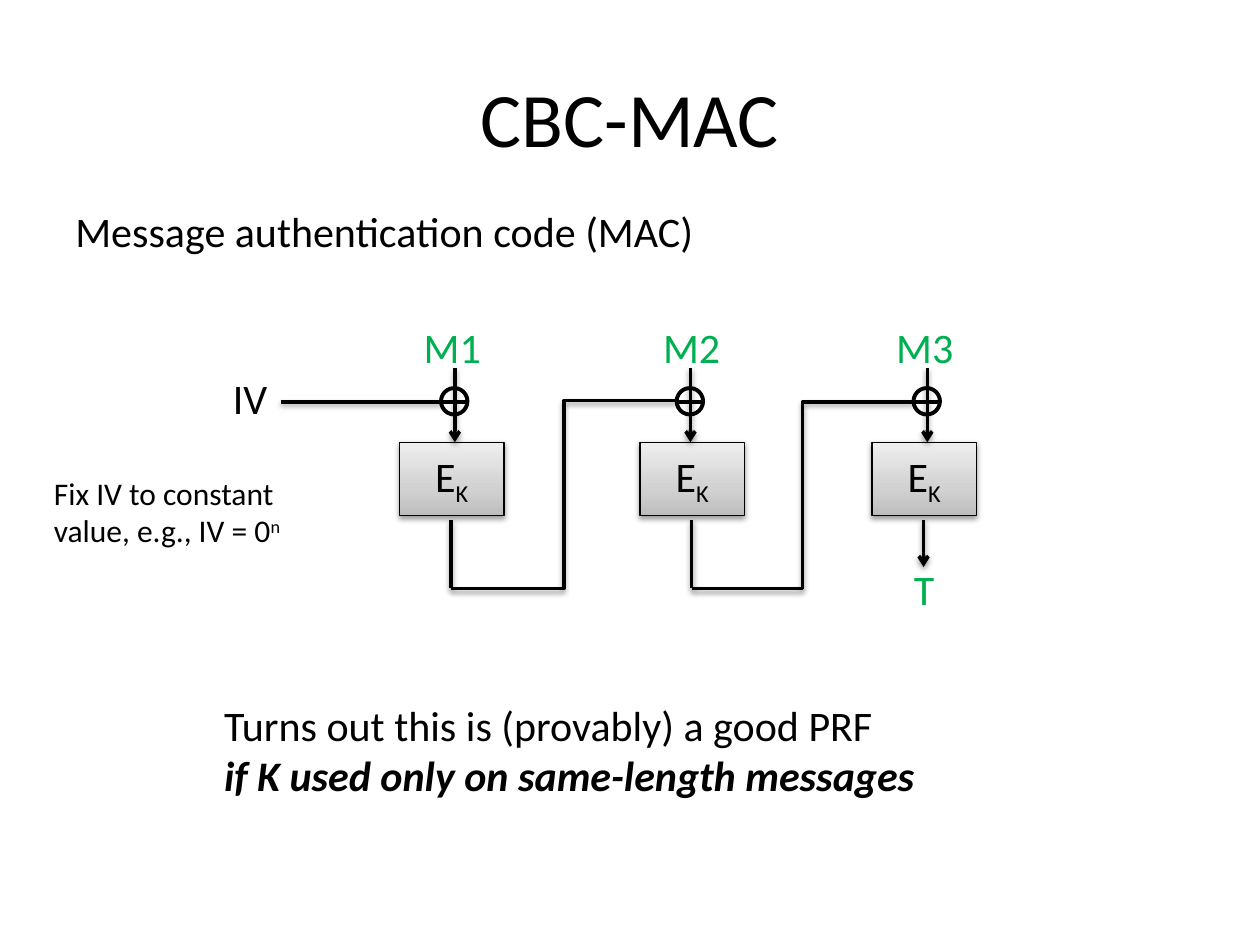
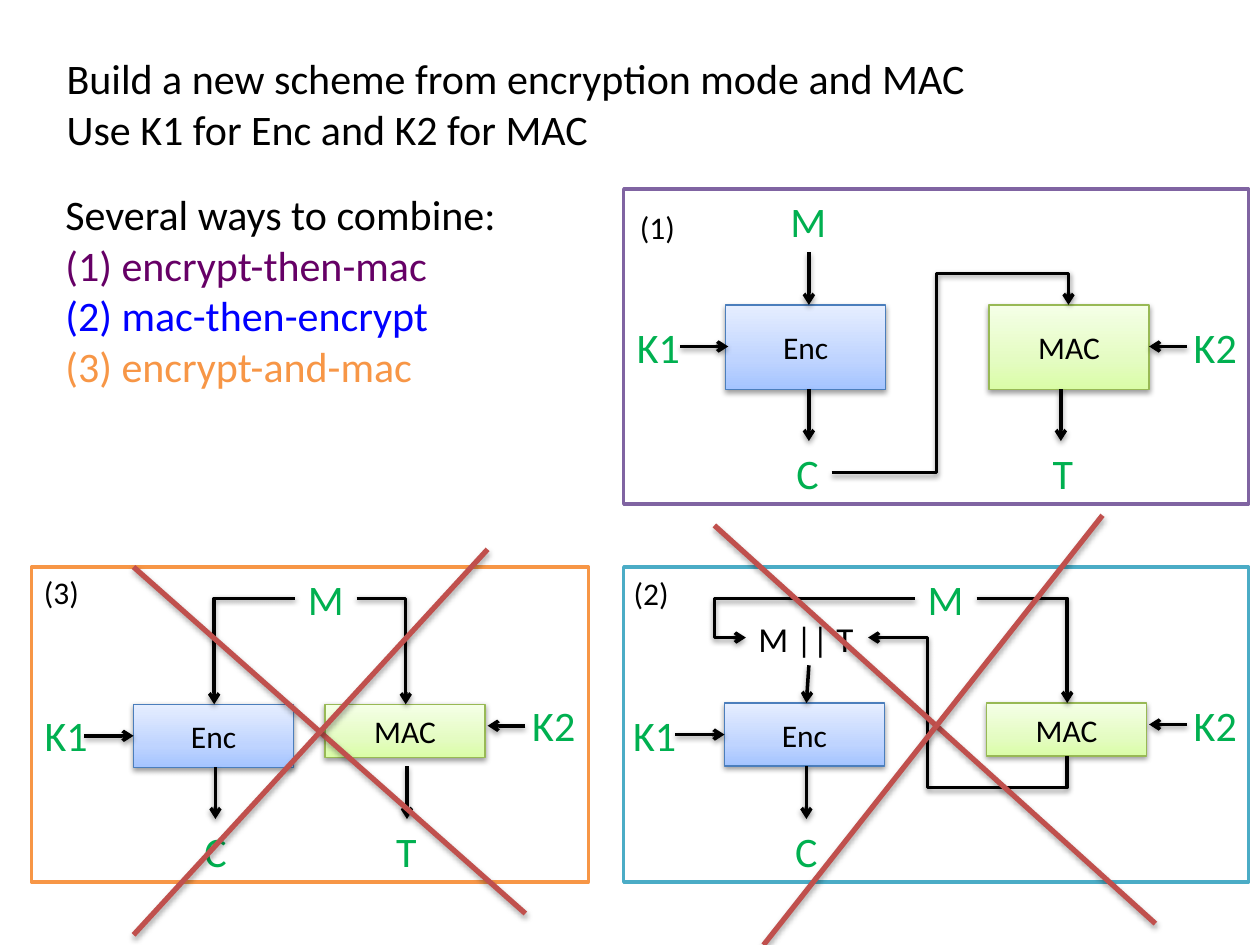
from lxml.etree import SubElement
from pptx import Presentation
from pptx.dml.color import RGBColor
from pptx.enum.shapes import MSO_CONNECTOR as LINK, MSO_SHAPE as SHAPE
from pptx.enum.text import MSO_ANCHOR as ANCHOR, MSO_AUTO_SIZE as AUTO, PP_ALIGN as ALIGN
from pptx.oxml.ns import qn
from pptx.util import Inches, Pt

FONT = "Calibri"
C = {"ink": "000000", "green": "00B050", "white": "FFFFFF", "cross": "C0504D",
     "purple": "8064A2", "teal": "4BACC6", "orange": "F79646",
     "plum": "660066", "blue": "0000FF"}
GRADS = {
    "gray": (("BDBDBD", "D1D1D1", "EEEEEE"), "000000"),
    "blue": (("A4C4FF", "BFD4FF", "E6EEFF"), "4B7EBC"),
    "lime": (("DAFDA7", "E4FCC2", "F5FFE7"), "98B955"),
}
STOPS = (0, 35000, 100000)
LETTER_W = {"M": 0.49, "C": 0.38, "T": 0.37, "K1": 0.55, "K2": 0.55,
            "M1": 0.66, "M2": 0.66, "M3": 0.66}
BOX_W = 1.27

STAGES = [("M1", 3.17, 3.61, 3.26), ("M2", 5.08, 5.48, 5.16), ("M3", 6.92, 7.36, 7.01)]
CHAIN_ELBOWS = [(3.58, 4.67, 5.37, 3.18), (5.49, 4.67, 7.25, 3.19)]
CHAIN_STEMS = [(3.58, 4.67, False), (5.49, 4.67, False), (7.33, 4.5, True)]
CHAIN_NOTES = [
    ((0.5, 1.58, 5.17, 0.5), 24, [[("Message authentication code (MAC)", {})]]),
    ((1.75, 2.91, 0.48, 0.5), 24, [[("IV", {})]]),
    ((1.68, 5.5, 5.82, 0.91), 24, [
        [("Turns out this is (provably) a good PRF", {})],
        [("if K used only on same-length messages", {"bold": True, "italic": True})]]),
    ((0.33, 3.71, 2.03, 0.71), 18, [
        [("Fix IV to constant", {})],
        [("value, e.g., IV = 0", {}), ("n", {"base": 30})]]),
]

SCHEME_NOTES = [
    ((0.43, 0.37, 7.41, 0.91), [
        [("Build a new scheme from encryption mode and MAC", {})],
        [("Use K1 for Enc and K2 for MAC", {})]]),
    ((0.42, 1.45, 3.68, 1.72), [
        [("Several ways to combine:", {})],
        [("(1) encrypt-then-mac", {"color": "plum"})],
        [("(2) mac-then-encrypt", {"color": "blue"})],
        [("(3) encrypt-and-mac", {"color": "orange"})]]),
]
SCHEMES = [
    {"tag": ("(1)", 4.98, 1.6), "frame": (4.95, 1.5, 4.96), "color": "purple",
     "enc": (5.76, 2.42, 0.67), "mac": (7.85, 2.42, 0.67),
     "letters": [("M", 6.17, 1.5), ("K1", 4.95, 2.5), ("K2", 9.37, 2.5),
                 ("C", 6.22, 3.5), ("T", 8.25, 3.5)],
     "arrows": [(5.4, 2.75, 5.78, 2.75), (9.42, 2.75, 9.12, 2.75),
                (6.42, 3.09, 6.42, 3.5), (6.42, 2, 6.42, 2.42),
                (8.42, 3.09, 8.42, 3.5)],
     "elbows": [((6.6, 3.75, 8.48, 2.42), 4, 0, (0.443, 1.188))],
     "cross": []},
    {"tag": ("(2)", 4.93, 4.51), "frame": (4.95, 4.5, 4.96), "color": "teal",
     "enc": (5.75, 5.58, 0.5), "mac": (7.83, 5.58, 0.42),
     "letters": [("M", 7.26, 4.5), ("K1", 4.92, 5.58), ("K2", 9.37, 5.5),
                 ("C", 6.21, 6.5)],
     "arrows": [(5.36, 5.83, 5.75, 5.83), (9.42, 5.75, 9.12, 5.75),
                (6.4, 6.08, 6.4, 6.5), (6.42, 5.28, 6.4, 5.58)],
     "elbows": [((7.75, 4.75, 8.47, 5.58), 2, 0, ()),
                ((8.15, 4.74, 7.21, 6.32), 4, 90, (-0.267, 0.701)),
                ((5.92, 5.06, 7.26, 4.75), 3, 180, (1.186,))],
     "cross": [(5.67, 4.17, 9.17, 7.33), (8.75, 4.09, 6.06, 7.5)]},
    {"tag": ("(3)", 0.25, 4.5), "frame": (0.25, 4.5, 4.42), "color": "orange",
     "enc": (1.06, 5.59, 0.5), "mac": (2.58, 5.59, 0.42),
     "letters": [("M", 2.34, 4.5), ("K1", 0.25, 5.58), ("K2", 4.12, 5.5),
                 ("C", 1.52, 6.5), ("T", 3.04, 6.5)],
     "arrows": [(0.67, 5.84, 1.06, 5.84), (4.17, 5.76, 3.87, 5.76),
                (1.71, 6.09, 1.71, 6.5), (3.23, 6.08, 3.23, 6.5)],
     "elbows": [((2.83, 4.75, 3.22, 5.59), 2, 0, ()),
                ((1.7, 5.59, 2.34, 4.75), 2, 180, ())],
     "cross": [(1.06, 4.5, 4.17, 7.25), (3.87, 4.36, 1.06, 7.42)]},
]


def rgb(name):
    return RGBColor.from_string(C.get(name, name))


def inches(values):
    return [Inches(v) for v in values]


def set_effect(sp, shadow=True, alpha=38, dist=20000):
    spPr = sp._element.spPr
    for old in spPr.findall(qn("a:effectLst")):
        spPr.remove(old)
    effects = SubElement(spPr, qn("a:effectLst"))
    if shadow:
        outer = SubElement(effects, qn("a:outerShdw"), blurRad="40000", dist=str(dist),
                           dir="5400000", rotWithShape="0")
        color = SubElement(outer, qn("a:srgbClr"), val=C["ink"])
        SubElement(color, qn("a:alpha"), val=str(alpha * 1000))


def write(tf, paras, size, color="ink", align=ALIGN.LEFT):
    for i, runs in enumerate(paras):
        p = tf.paragraphs[0] if i == 0 else tf.add_paragraph()
        p.alignment = align
        p.font.name, p.font.size = FONT, Pt(size)
        for text, style in runs:
            r = p.add_run()
            r.text = text
            r.font.color.rgb = rgb(style.get("color", color))
            r.font.bold, r.font.italic = style.get("bold"), style.get("italic")
            if "base" in style:
                r._r.get_or_add_rPr().set("baseline", str(style["base"] * 1000))


def label(sl, box, paras, size, color="ink", align=ALIGN.LEFT):
    tf = sl.shapes.add_textbox(*inches(box)).text_frame
    tf.word_wrap = False
    tf.auto_size = AUTO.SHAPE_TO_FIT_TEXT
    write(tf, paras, size, color, align)
    return tf


def letter(sl, text, x, y):
    label(sl, (x, y, LETTER_W[text], 0.5), [[(text, {})]], 24, "green", ALIGN.CENTER)


def outline(sl, kind, box, color, width, fill=None):
    sp = sl.shapes.add_shape(kind, *inches(box))
    sp.shadow.inherit = False
    if fill:
        sp.fill.solid()
        sp.fill.fore_color.rgb = rgb(fill)
    else:
        sp.fill.background()
    sp.line.color.rgb = rgb(color)
    sp.line.width = Pt(width)
    return sp


def block(sl, box, grad, runs, size):
    colors, edge = GRADS[grad]
    sp = outline(sl, SHAPE.RECTANGLE, box, edge, 0.75)
    sp.fill.gradient()
    sp.fill.gradient_angle = 90
    stops = sp._element.spPr.find(".//" + qn("a:gsLst"))
    for old in list(stops):
        stops.remove(old)
    for pos, color in zip(STOPS, colors):
        gs = SubElement(stops, qn("a:gs"), pos=str(pos))
        SubElement(gs, qn("a:srgbClr"), val=color)
    set_effect(sp)
    tf = sp.text_frame
    tf.vertical_anchor = ANCHOR.MIDDLE
    write(tf, [runs], size, align=ALIGN.CENTER)


def link(sl, ends, arrow=False, kind=LINK.STRAIGHT, color="ink", width=2, **effect):
    cx = sl.shapes.add_connector(kind, *inches(ends))
    cx.line.color.rgb = rgb(color)
    cx.line.width = Pt(width)
    if arrow:
        SubElement(cx._element.spPr.find(qn("a:ln")), qn("a:tailEnd"), type="arrow")
    set_effect(cx, **effect)
    return cx


def elbow(sl, ends, bends=3, rot=0, adj=(), arrow=True):
    spPr = link(sl, ends, arrow, LINK.ELBOW)._element.spPr
    if rot:
        spPr.find(qn("a:xfrm")).set("rot", str(rot * 60000))
    geom = spPr.find(qn("a:prstGeom"))
    geom.set("prst", f"bentConnector{bends}")
    guides = geom.find(qn("a:avLst"))
    for i, value in enumerate(adj, 1):
        SubElement(guides, qn("a:gd"), name=f"adj{i}", fmla=f"val {round(value * 100000)}")


def chain_slide(sl):
    tf = label(sl, (0.5, 0.3, 9, 1.25), [[("CBC-MAC", {})]], 44, align=ALIGN.CENTER)
    tf.auto_size, tf.word_wrap = AUTO.NONE, True
    tf.vertical_anchor = ANCHOR.MIDDLE
    for name, box_x, mid, name_x in STAGES:
        block(sl, (box_x, 3.51, 0.83, 0.58), "gray", [("E", {}), ("K", {"base": -25})], 24)
        letter(sl, name, name_x, 2.5)
        link(sl, (mid, 2.92, mid, 3.51), arrow=True)
        outline(sl, SHAPE.OVAL, (mid - 0.11, 3.08, 0.21, 0.21), "ink", 2.25)
        link(sl, (mid - 0.11, 3.19, mid + 0.1, 3.19), width=2.25, shadow=False)
    link(sl, (2.23, 3.19, 3.5, 3.19))
    for x, end, arrow in CHAIN_STEMS:
        link(sl, (x, 4.13, x, end), arrow)
    for ends in CHAIN_ELBOWS:
        elbow(sl, ends, arrow=False)
    letter(sl, "T", 7.15, 4.42)
    for box, size, paras in CHAIN_NOTES:
        label(sl, box, paras, size)


def scheme_slide(sl):
    for box, paras in SCHEME_NOTES:
        label(sl, box, paras, 24)
    for s in SCHEMES:
        outline(sl, SHAPE.RECTANGLE, (*s["frame"], 2.5), s["color"], 2, "white")
        for key, text, grad in (("enc", "Enc", "blue"), ("mac", "MAC", "lime")):
            x, y, h = s[key]
            block(sl, (x, y, BOX_W, h), grad, [(text, {})], 18)
        for item in s["letters"]:
            letter(sl, *item)
        for ends in s["arrows"]:
            link(sl, ends, arrow=True)
        for item in s["elbows"]:
            elbow(sl, *item)
        tag, x, y = s["tag"]
        label(sl, (x, y, 0.48, 0.4), [[(tag, {})]], 18)
    label(sl, (5.92, 4.85, 0.97, 0.44), [[("M || T", {})]], 20)
    for s in SCHEMES:
        for ends in s["cross"]:
            link(sl, ends, color="cross", width=3, alpha=35, dist=23000)


prs = Presentation()
prs.slide_width, prs.slide_height = Inches(10), Inches(7.5)
for build in (chain_slide, scheme_slide):
    build(prs.slides.add_slide(prs.slide_layouts[6]))
prs.save("out.pptx")
